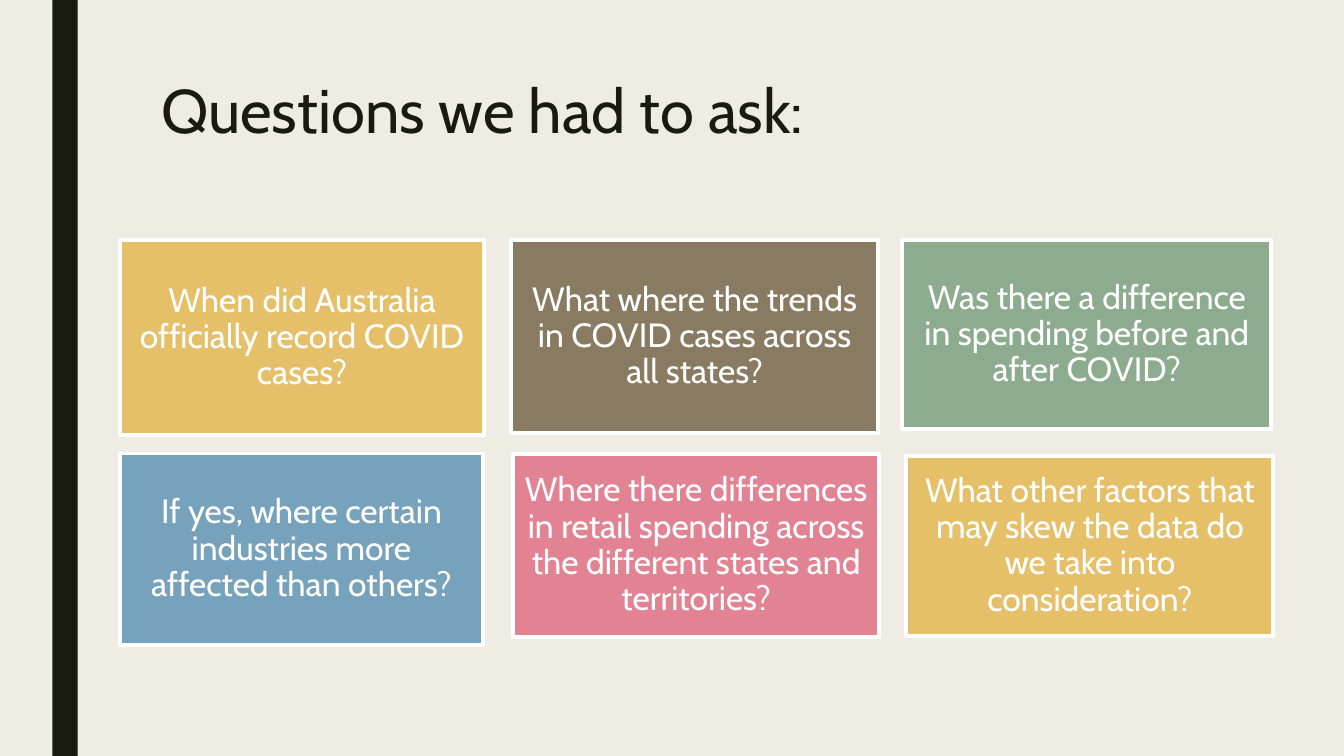
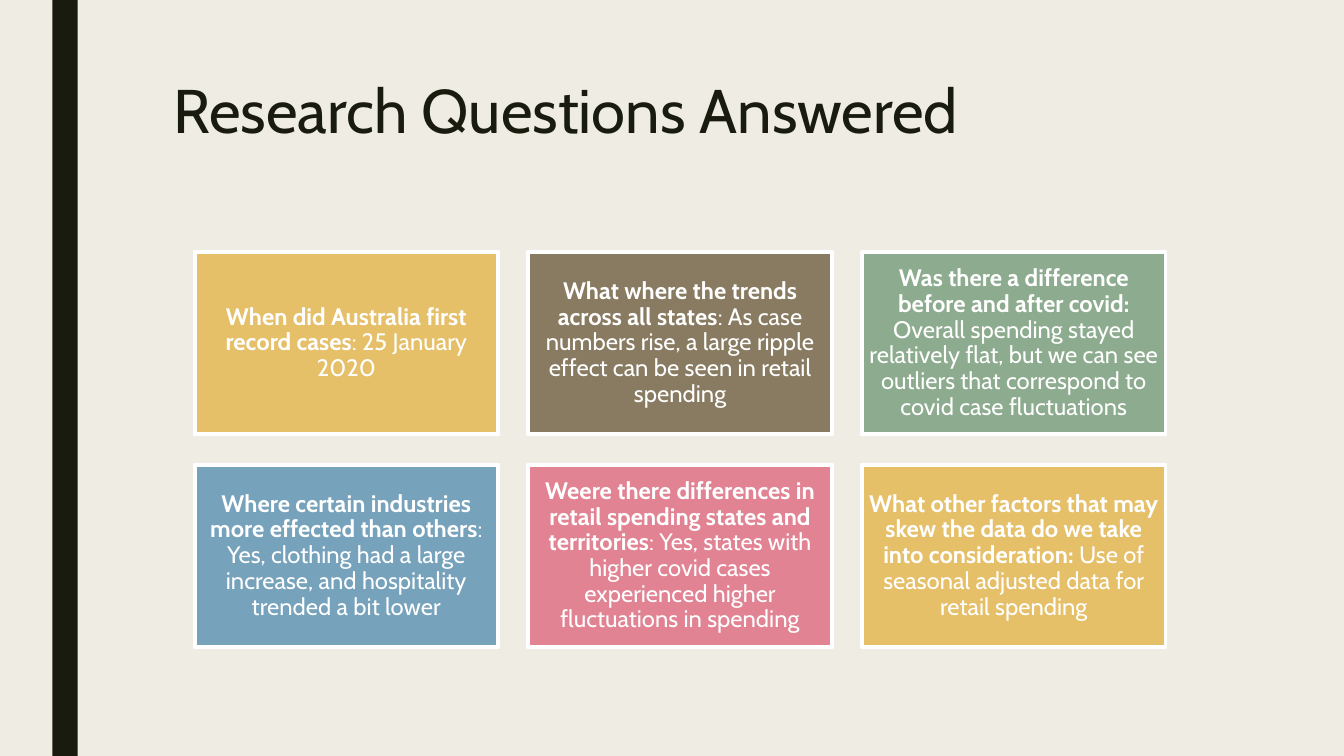
"""Build two slides of research questions and their answers."""
from pptx import Presentation
from pptx.dml.color import RGBColor
from pptx.enum.shapes import MSO_SHAPE
from pptx.enum.text import MSO_ANCHOR, PP_ALIGN
from pptx.util import Inches, Pt

COLOURS = {
    "paper": "EFEDE3", "ink": "191B0E", "white": "FFFFFF",
    "gold": "E6C069", "brown": "897B61", "green": "8DAB8E",
    "blue": "77A2BB", "pink": "E28394",
}
CARD_FILLS = ["gold", "brown", "green", "blue", "pink", "gold"]
FONT = "Cabin"
COLUMNS = 3

QUESTIONS = [
    "When did Australia officially record COVID cases?",
    "What where the trends in COVID cases across all states?",
    "Was there a difference in spending before and after COVID?",
    "If yes, where certain industries more affected than others?",
    "Where there differences in retail spending across the different states and territories?",
    "What other factors that may skew the data do we take into consideration?",
]
QUESTION_PLACES = [
    (1.19, 2.38, 3.61, 1.94), (5.07, 2.38, 3.64, 1.92), (8.95, 2.38, 3.66, 1.88),
    (1.19, 4.5, 3.6, 1.9), (5.09, 4.5, 3.63, 1.82), (8.99, 4.52, 3.64, 1.79),
]
ANSWERS = [
    ("When did Australia first record cases", ": 25 January 2020"),
    ("What where the trends across all states",
     ": As case numbers rise, a large ripple effect can be seen in retail spending"),
    ("Was there a difference before and after covid: ",
     "Overall spending stayed relatively flat, but we can see outliers "
     "that correspond to covid case fluctuations"),
    ("Where certain industries more effected than others",
     ": Yes, clothing had a large increase, and hospitality trended a bit lower"),
    ("Weere there differences in retail spending states and territories",
     ": Yes, states with higher covid cases experienced higher fluctuations in spending"),
    ("What other factors that may skew the data do we take into consideration: ",
     "Use of seasonal adjusted data for retail spending"),
]
ANSWER_LEFT, ANSWER_TOP = 1.93, 2.5
ANSWER_WIDTH, ANSWER_HEIGHT, ANSWER_GAP = 3.01, 1.81, 0.3


def rgb(name):
    return RGBColor.from_string(COLOURS[name])


def add_run(paragraph, text, size, colour, bold=False):
    run = paragraph.add_run()
    run.text = text
    run.font.name = FONT
    run.font.size = Pt(size)
    run.font.bold = bold
    run.font.color.rgb = rgb(colour)


def add_block(slide, place, fill):
    block = slide.shapes.add_shape(MSO_SHAPE.RECTANGLE, *map(Inches, place))
    block.shadow.inherit = False
    block.fill.solid()
    block.fill.fore_color.rgb = rgb(fill)
    block.line.fill.background()
    return block


def add_titled_slide(prs, title, indent=0.1):
    slide = prs.slides.add_slide(prs.slide_layouts[6])
    add_block(slide, (0.52, 0, 0.25, 7.5), "ink")
    heading = slide.shapes.add_textbox(*map(Inches, (1.5, 0.75, 10.5, 1.62))).text_frame
    heading.word_wrap = True
    heading.margin_left = Inches(indent)
    paragraph = heading.paragraphs[0]
    paragraph.line_spacing = 0.89
    add_run(paragraph, title, 44, "ink")
    return slide


def add_card(slide, place, fill, runs, size, inset):
    card = add_block(slide, place, fill)
    card.line.color.rgb = rgb("white")
    card.line.width = Pt(2.75)
    frame = card.text_frame
    frame.word_wrap = True
    frame.vertical_anchor = MSO_ANCHOR.MIDDLE
    frame.margin_left = frame.margin_right = Inches(inset)
    frame.margin_top = frame.margin_bottom = Inches(inset)
    paragraph = frame.paragraphs[0]
    paragraph.alignment = PP_ALIGN.CENTER
    paragraph.line_spacing = 0.9
    for text, bold in runs:
        add_run(paragraph, text, size, "white", bold)


def answer_place(index):
    row, column = divmod(index, COLUMNS)
    return (ANSWER_LEFT + column * (ANSWER_WIDTH + ANSWER_GAP),
            ANSWER_TOP + row * (ANSWER_HEIGHT + ANSWER_GAP),
            ANSWER_WIDTH, ANSWER_HEIGHT)


def main():
    prs = Presentation()
    prs.slide_width, prs.slide_height = Inches(13.33), Inches(7.5)
    backdrop = prs.slide_master.background.fill
    backdrop.solid()
    backdrop.fore_color.rgb = rgb("paper")

    asked = add_titled_slide(prs, "Questions we had to ask:")
    for question, place, fill in zip(QUESTIONS, QUESTION_PLACES, CARD_FILLS):
        add_card(asked, place, fill, [(question, False)], 24, 0.1)

    answered = add_titled_slide(prs, "Research Questions Answered", indent=0.22)
    for index, ((question, answer), fill) in enumerate(zip(ANSWERS, CARD_FILLS)):
        add_card(answered, answer_place(index), fill,
                 [(question, True), (answer, False)], 17, 0.07)

    prs.save("out.pptx")


if __name__ == "__main__":
    main()
